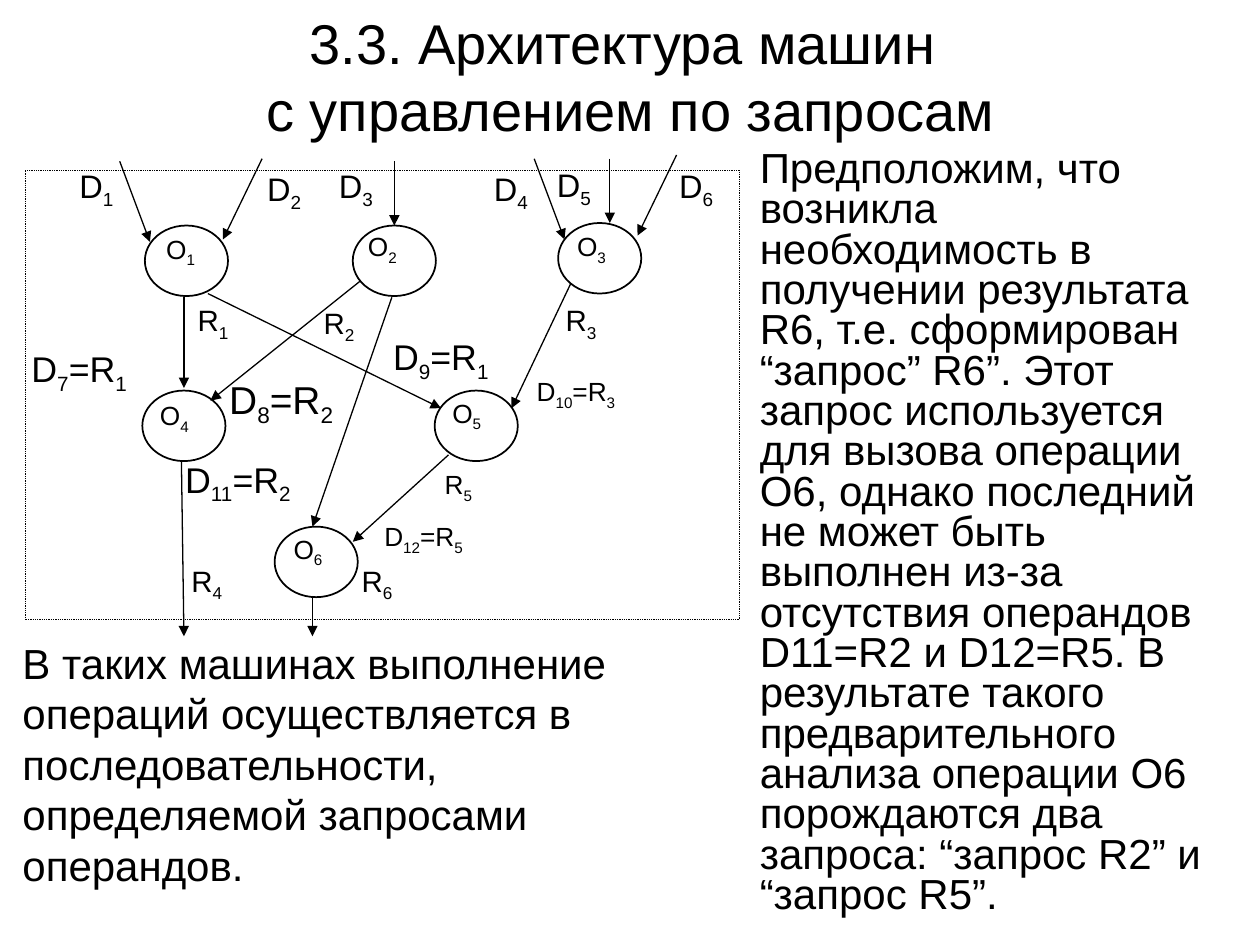
import itertools
from dataclasses import dataclass
from typing import NamedTuple

import pptx
import pptx.dml.color
import pptx.enum.dml
import pptx.enum.shapes
import pptx.enum.text
import pptx.oxml
import pptx.oxml.ns
import pptx.util

COLUMNS, ROWS = 1000, 750
SLIDE_WIDTH, SLIDE_HEIGHT = pptx.util.Inches(10), pptx.util.Inches(7.5)


@dataclass(frozen=True)
class Theme:
    ink: pptx.dml.color.RGBColor = pptx.dml.color.RGBColor(0, 0, 0)
    font: str = "Arial"
    title: float = 32
    body: float = 24
    small: float = 15
    result: float = 16.8
    data: float = 18.6
    link: float = 20.4
    large_link: float = 22.2
    node_line: float = 1
    arrow_line: float = 0.75
    frame_line: float = 0.5


THEME = Theme()


class Area(NamedTuple):
    column: int
    row: int
    width: int
    height: int


class Operation(NamedTuple):
    name: str
    column: int
    row: int
    name_column: int
    name_row: int


class Label(NamedTuple):
    text: str
    column: int
    row: int
    size: float


class Arrow(NamedTuple):
    from_column: int
    from_row: int
    to_column: int
    to_row: int


TITLE_AREA = Area(20, 13, 961, 94)
REQUEST_AREA = Area(602, 119, 382, 614)
SUMMARY_AREA = Area(8, 501, 582, 210)
FRAME_AREA = Area(20, 135, 567, 357)
NODE_WIDTH, NODE_HEIGHT = 66, 56
LABEL_WIDTH, LINK_WIDTH = 57, 120

TITLE_LINES = ("3.3. Архитектура машин ", "с управлением по запросам")
REQUEST = (
    "Предположим, что возникла необходимость в получении результата R6, "
    "т.е. сформирован “запрос” R6”. Этот запрос используется для вызова "
    "операции O6, однако последний не может быть выполнен из-за отсутствия "
    "операндов D11=R2 и D12=R5. В результате такого предварительного анализа "
    "операции O6 порождаются два запроса: “запрос R2” и “запрос R5”."
)
SUMMARY = (
    "В таких машинах выполнение операций осуществляется в последовательности, "
    "определяемой запросами операндов."
)

OPERATIONS = (
    Operation("O1", 115, 179, 131, 184),
    Operation("O2", 280, 179, 291, 182),
    Operation("O3", 443, 177, 457, 182),
    Operation("O4", 113, 310, 126, 316),
    Operation("O5", 345, 310, 358, 314),
    Operation("O6", 218, 418, 232, 422),
)
LABELS = (
    Label("D1", 62, 131, THEME.data),
    Label("D2", 211, 133, THEME.data),
    Label("D3", 268, 131, THEME.data),
    Label("D4", 391, 133, THEME.data),
    Label("D5", 441, 130, THEME.data),
    Label("D6", 538, 131, THEME.data),
    Label("R1", 156, 239, THEME.result),
    Label("R2", 256, 241, THEME.result),
    Label("R3", 448, 239, THEME.result),
    Label("R4", 151, 446, THEME.result),
    Label("R5", 352, 371, THEME.small),
    Label("R6", 286, 446, THEME.result),
    Label("D7=R1", 24, 274, THEME.link),
    Label("D8=R2", 181, 297, THEME.large_link),
    Label("D9=R1", 311, 265, THEME.link),
    Label("D10=R3", 425, 297, THEME.small),
    Label("D11=R2", 146, 362, THEME.link),
    Label("D12=R5", 304, 412, THEME.small),
)
ARROWS = (
    Arrow(95, 128, 119, 192),
    Arrow(208, 126, 177, 190),
    Arrow(313, 128, 313, 179),
    Arrow(424, 126, 448, 190),
    Arrow(484, 126, 484, 177),
    Arrow(537, 123, 506, 187),
    Arrow(146, 236, 146, 308),
    Arrow(165, 233, 350, 324),
    Arrow(311, 236, 248, 418),
    Arrow(286, 223, 167, 318),
    Arrow(453, 225, 406, 324),
    Arrow(144, 366, 146, 505),
    Arrow(356, 361, 280, 430),
    Arrow(248, 473, 248, 505),
)


def across(columns: float) -> int:
    return round(SLIDE_WIDTH * columns / COLUMNS)


def down(rows: float) -> int:
    return round(SLIDE_HEIGHT * rows / ROWS)


def place(area: Area) -> tuple[int, int, int, int]:
    return across(area.column), down(area.row), across(area.width), down(area.height)


def add_run(paragraph, text: str, size: float, subscript: bool = False) -> None:
    run = paragraph.add_run()
    run.text = text
    run.font.name = THEME.font
    run.font.size = pptx.util.Pt(size)
    run.font.color.rgb = THEME.ink
    if subscript:
        run.font._element.set("baseline", "-25000")


def add_text_area(shapes, area: Area, inset: float = 0.01):
    frame = shapes.add_textbox(*place(area)).text_frame
    frame.word_wrap = True
    frame.margin_left = frame.margin_right = pptx.util.Inches(inset)
    frame.margin_top = frame.margin_bottom = pptx.util.Inches(max(inset / 2, 0.01))
    return frame


def add_label(shapes, label: Label) -> None:
    width = LINK_WIDTH if "=" in label.text else LABEL_WIDTH
    height = round(label.size * 2.1)
    frame = add_text_area(shapes, Area(label.column, label.row, width, height))
    for is_index, letters in itertools.groupby(label.text, str.isdigit):
        add_run(frame.paragraphs[0], "".join(letters), label.size, is_index)


def add_outline(shapes, preset, area: Area, width: float):
    outline = shapes.add_shape(preset, *place(area))
    outline.shadow.inherit = False
    outline.fill.background()
    outline.line.color.rgb = THEME.ink
    outline.line.width = pptx.util.Pt(width)
    return outline


def add_operation(shapes, operation: Operation) -> None:
    area = Area(operation.column, operation.row, NODE_WIDTH, NODE_HEIGHT)
    add_outline(shapes, pptx.enum.shapes.MSO_SHAPE.OVAL, area, THEME.node_line)
    add_label(
        shapes,
        Label(operation.name, operation.name_column, operation.name_row, THEME.small),
    )


def add_arrow(shapes, arrow: Arrow) -> None:
    connector = shapes.add_connector(
        pptx.enum.shapes.MSO_CONNECTOR.STRAIGHT,
        across(arrow.from_column), down(arrow.from_row),
        across(arrow.to_column), down(arrow.to_row),
    )
    connector.line.color.rgb = THEME.ink
    connector.line.width = pptx.util.Pt(THEME.arrow_line)
    head = pptx.oxml.ns.qn("a:tailEnd")
    connector.line._get_or_add_ln().makeelement(head)
    line = connector.line._get_or_add_ln()
    line.append(line.makeelement(head, {"type": "triangle"}))
    properties = connector._element.spPr
    properties.append(properties.makeelement(pptx.oxml.ns.qn("a:effectLst")))


def add_title(slide) -> None:
    title = slide.shapes.title
    title.left, title.top, title.width, title.height = place(TITLE_AREA)
    frame = title.text_frame
    frame.auto_size = pptx.enum.text.MSO_AUTO_SIZE.NONE
    frame.vertical_anchor = pptx.enum.text.MSO_ANCHOR.MIDDLE
    heading = frame.paragraphs[0]
    heading.alignment = pptx.enum.text.PP_ALIGN.CENTER
    add_run(heading, TITLE_LINES[0], THEME.title)
    heading.add_line_break()
    add_run(heading, TITLE_LINES[1], THEME.title)


def add_dataflow(slide) -> None:
    shapes = slide.shapes.add_group_shape().shapes
    for operation in OPERATIONS:
        add_operation(shapes, operation)
    frame = add_outline(
        shapes, pptx.enum.shapes.MSO_SHAPE.RECTANGLE, FRAME_AREA, THEME.frame_line
    )
    frame.line.dash_style = pptx.enum.dml.MSO_LINE.ROUND_DOT
    for arrow in ARROWS:
        add_arrow(shapes, arrow)
    for label in LABELS:
        add_label(shapes, label)


def main() -> None:
    deck = pptx.Presentation()
    deck.slide_width, deck.slide_height = SLIDE_WIDTH, SLIDE_HEIGHT
    slide = deck.slides.add_slide(deck.slide_layouts[5])
    add_title(slide)
    request = add_text_area(slide.shapes, REQUEST_AREA).paragraphs[0]
    request.line_spacing = 0.8
    add_run(request, REQUEST, THEME.body)
    summary = add_text_area(slide.shapes, SUMMARY_AREA, 0.1)
    summary.auto_size = pptx.enum.text.MSO_AUTO_SIZE.SHAPE_TO_FIT_TEXT
    add_run(summary.paragraphs[0], SUMMARY, THEME.body)
    add_dataflow(slide)
    deck.save("out.pptx")


if __name__ == "__main__":
    main()
